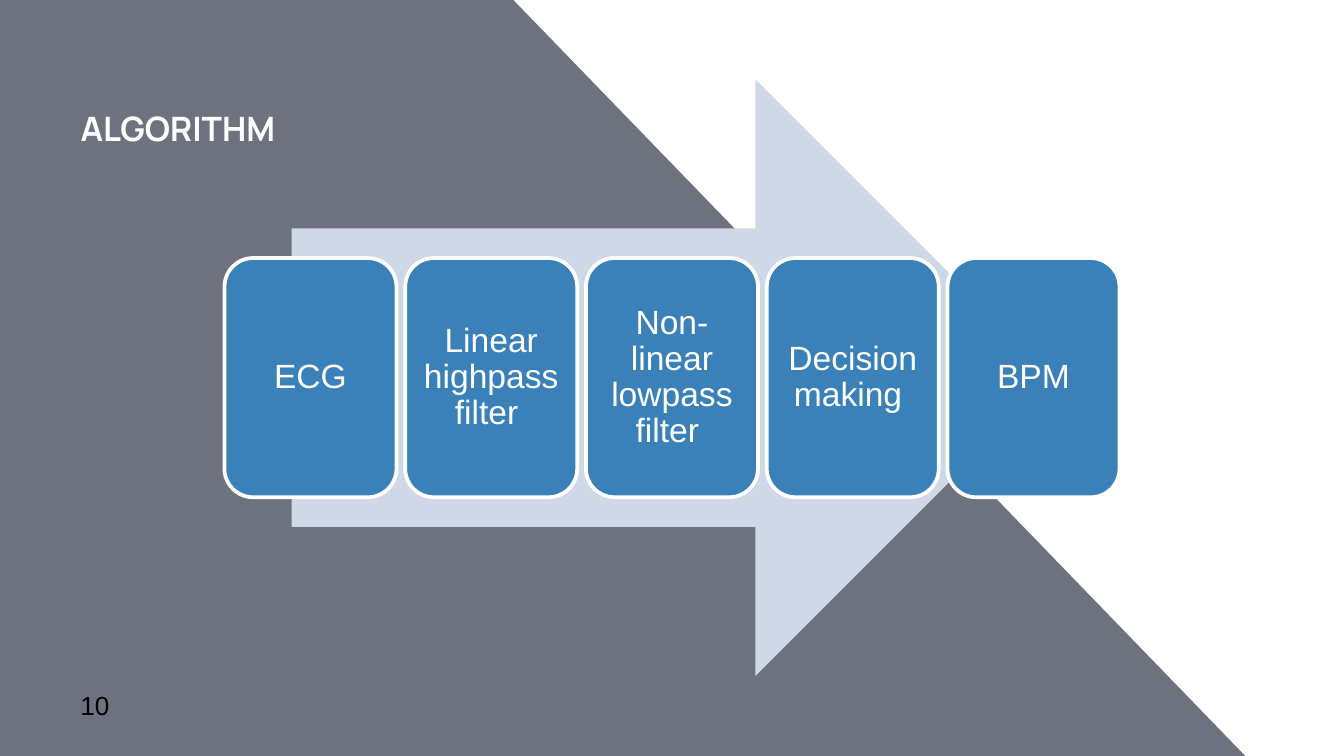
"""Build the algorithm slide: a process arrow with five steps."""
from lxml import etree
from pptx import Presentation
from pptx.dml.color import RGBColor
from pptx.enum import shapes, text
from pptx.oxml import ns
from pptx.util import Inches, Pt


def paint(fill, color):
    fill.solid()
    fill.fore_color.rgb = RGBColor.from_string(color)


def write(shape, wording, size=18, font="Arial", color="FFFFFF", bold=False,
          align=text.PP_ALIGN.LEFT, anchor=text.MSO_ANCHOR.MIDDLE, inset=0.1, spacing=1.0):
    frame = shape.text_frame
    frame.word_wrap = True
    frame.auto_size = text.MSO_AUTO_SIZE.NONE
    frame.vertical_anchor = anchor
    frame.margin_left = frame.margin_right = Inches(inset)
    frame.margin_top = frame.margin_bottom = Inches(inset)
    paragraph = frame.paragraphs[0]
    paragraph.alignment = align
    paragraph.line_spacing = spacing
    run = paragraph.add_run()
    run.text = wording
    run.font.size = Pt(size)
    run.font.name = font
    run.font.bold = bold
    paint(run.font.fill, color)


presentation = Presentation()
presentation.slide_width = Inches(10)
presentation.slide_height = Inches(10 * 9 / 16)
slide = presentation.slides.add_slide(presentation.slide_layouts[5])
paint(slide.background.fill, "FFFFFF")

title = slide.shapes.title
title.left, title.top = Inches(0.5), Inches(0.51)
title.width, title.height = Inches(2.61), Inches(0.69)
write(title, "ALGORITHM", font="Manrope", bold=True, anchor=text.MSO_ANCHOR.BOTTOM)

builder = slide.shapes.build_freeform(Inches(3.81), Inches(-0.01), scale=1.0)
corners = [(0, -0.01), (0, 5.63), (9.27, 5.63)]
builder.add_line_segments([(Inches(x), Inches(y)) for x, y in corners], close=True)
backdrop = builder.convert_to_shape()
backdrop.shadow.inherit = False
backdrop.line.fill.background()
paint(backdrop.fill, "212539")
backdrop_color = next(backdrop.element.spPr.iter(ns.qn("a:srgbClr")))
etree.SubElement(backdrop_color, ns.qn("a:alpha"), val="65000")
title.element.addprevious(backdrop.element)

page_number = slide.shapes.add_textbox(Inches(0.5), Inches(5.11), Inches(0.6), Inches(0.27))
write(page_number, "10", size=14, color="000000")

arrow = slide.shapes.add_shape(
    shapes.MSO_SHAPE.RIGHT_ARROW, Inches(2.17), Inches(0.59), Inches(5.67), Inches(4.44))
arrow.shadow.inherit = False
arrow.line.fill.background()
paint(arrow.fill, "CED8E7")

steps = ["ECG", "Linear highpass filter ", "Non-linear lowpass filter ", "Decision making ", "BPM"]
first_left, last_left = 1.67, 7.05
pitch = (last_left - first_left) / (len(steps) - 1)
for index, step in enumerate(steps):
    box = slide.shapes.add_shape(
        shapes.MSO_SHAPE.ROUNDED_RECTANGLE,
        Inches(first_left + index * pitch), Inches(1.92), Inches(1.28), Inches(1.78))
    box.shadow.inherit = False
    paint(box.fill, "3A81BA")
    paint(box.line.fill, "FFFFFF")
    box.line.width = Pt(2)
    write(box, step, align=text.PP_ALIGN.CENTER, inset=0.07, spacing=0.9)

presentation.save("out.pptx")
